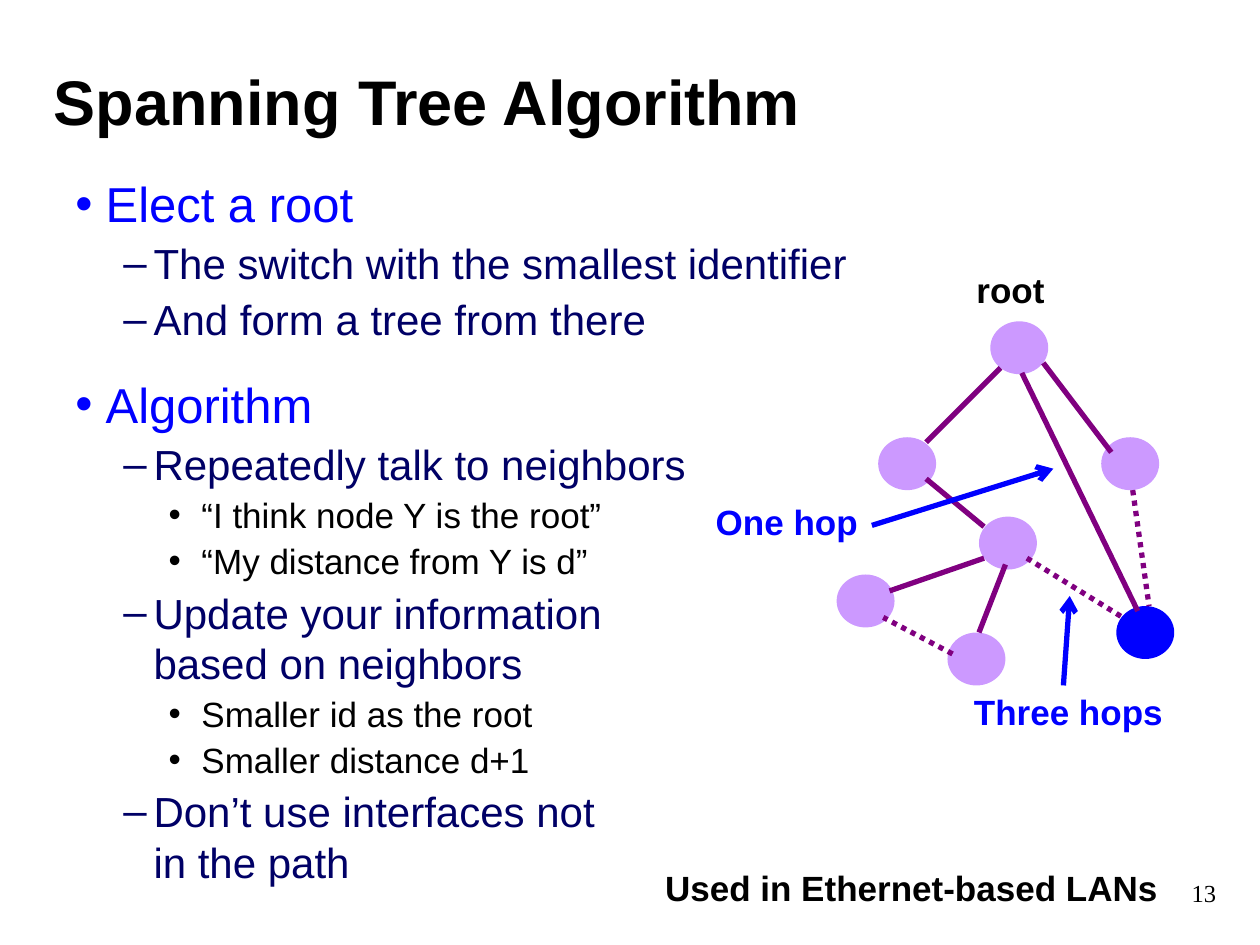
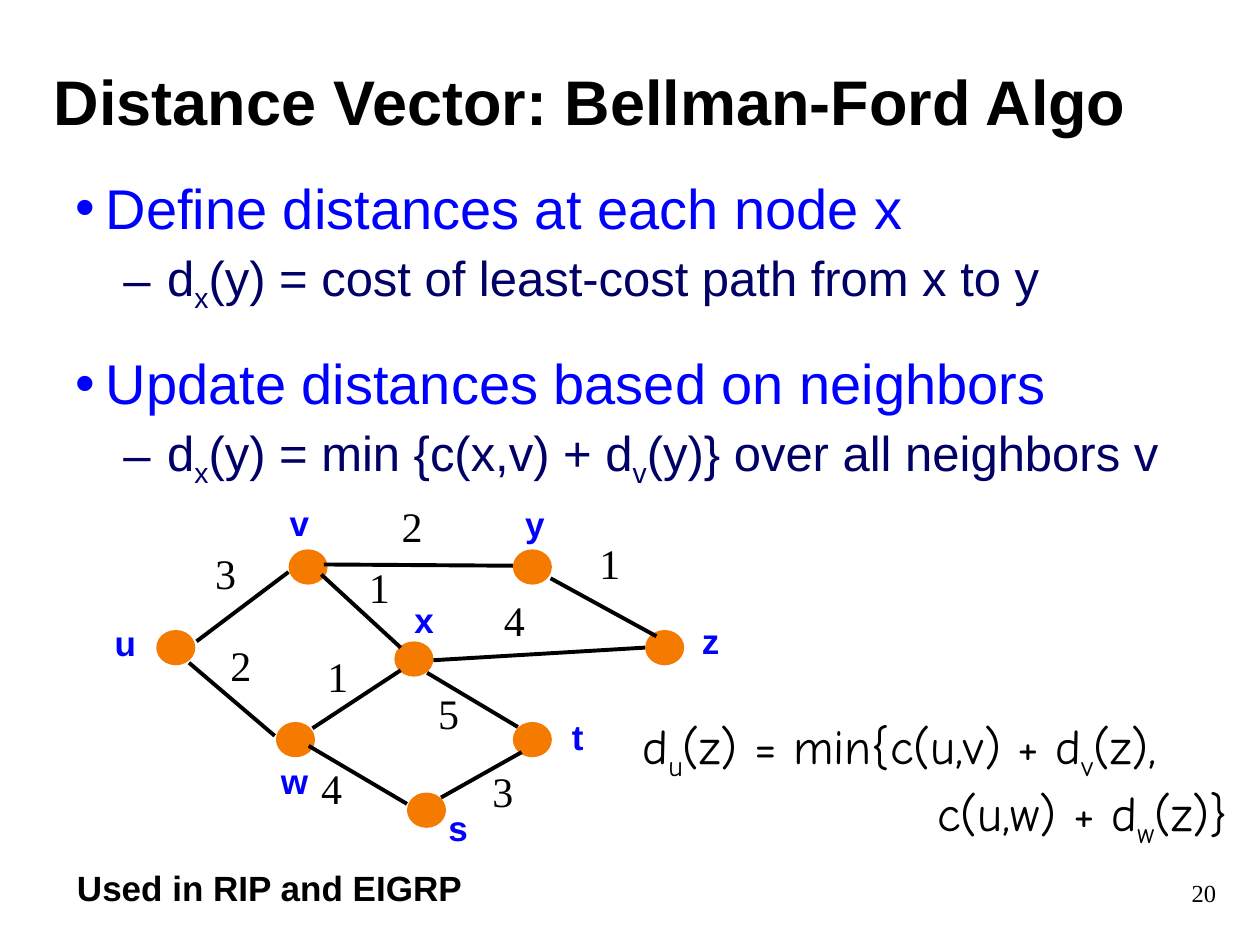
from dataclasses import dataclass

from lxml import etree
from pptx import Presentation
from pptx.dml.color import RGBColor
from pptx.enum.dml import MSO_LINE
from pptx.enum.shapes import MSO_CONNECTOR, MSO_SHAPE
from pptx.enum.text import MSO_ANCHOR, PP_ALIGN
from pptx.oxml.ns import qn
from pptx.slide import Slide
from pptx.util import Emu, Pt

# Shared look
PX = 9144  # 100 px to the inch
BLACK = RGBColor(0, 0, 0)
BLUE = RGBColor(0, 0, 255)
NAVY = RGBColor(0, 0, 102)
PURPLE = RGBColor(128, 0, 128)
LILAC = RGBColor(204, 153, 255)
ORANGE = RGBColor(244, 122, 0)
SANS, SERIF, COMIC = "Arial", "Times New Roman", "Comic Neue"
LEFT, CENTER, RIGHT = PP_ALIGN.LEFT, PP_ALIGN.CENTER, PP_ALIGN.RIGHT
TOP, MIDDLE = MSO_ANCHOR.TOP, MSO_ANCHOR.MIDDLE
ELLIPSE, STRAIGHT = MSO_SHAPE.OVAL, MSO_CONNECTOR.STRAIGHT
DOTTED = MSO_LINE.ROUND_DOT
SUBSCRIPT = "~"  # encloses lowered letters


@dataclass(frozen=True)
class Level:
    margin: int
    hanging: int
    bullet: str
    color: RGBColor
    space: float  # space before, as a share of the text size


@dataclass(frozen=True)
class Node:
    x: int
    y: int
    color: RGBColor


@dataclass(frozen=True)
class Edge:
    x1: int
    y1: int
    x2: int
    y2: int
    dotted: bool = False


@dataclass(frozen=True)
class Label:
    text: str
    x: int
    y: int
    width: int
    color: RGBColor = BLUE


LEVELS = (
    Level(24, 24, "•", BLUE, 0.625),
    Level(62, 24, "–", NAVY, 0.125),
    Level(100, 26, "•", BLACK, 0.125),
)


def px(length: int) -> Emu:
    return Emu(length * PX)


def fill_para(para, text: str, *, size: int, color: RGBColor,
              font: str = SANS, bold: bool = False) -> None:
    """Write text with line breaks and subscripts into a paragraph."""
    for row, line in enumerate(text.split("\n")):
        if row:
            para.add_line_break()
        for index, piece in enumerate(line.split(SUBSCRIPT)):
            span = para.add_run()
            span.text = piece
            span.font.size = Pt(size)
            span.font.name = font
            span.font.bold = bold
            span.font.color.rgb = color
            if index % 2:
                span.font._element.set("baseline", "-25000")


def add_frame(page: Slide, x: int, y: int, width: int, height: int, *,
              wrap: bool = True, anchor=TOP):
    box = page.shapes.add_textbox(px(x), px(y), px(width), px(height))
    frame = box.text_frame
    frame.word_wrap = wrap
    frame.vertical_anchor = anchor
    return frame


def add_text(page: Slide, text: str, x: int, y: int, width: int, height: int, *,
             size: int, color: RGBColor = BLACK, font: str = SANS,
             bold: bool = False, align=LEFT, wrap: bool = False, anchor=TOP) -> None:
    frame = add_frame(page, x, y, width, height, wrap=wrap, anchor=anchor)
    para = frame.paragraphs[0]
    para.alignment = align
    fill_para(para, text, size=size, color=color, font=font, bold=bold)


def add_label(page: Slide, label: Label) -> None:
    add_text(page, label.text, label.x, label.y, label.width, 44,
             size=20, color=label.color, bold=True, align=CENTER)


def add_outline(page: Slide, items: list[tuple[int, str]],
                sizes: tuple[int, ...]) -> None:
    """Write bulleted text; each item is its level and wording."""
    frame = add_frame(page, 50, 133, 925, 600)
    for index, (depth, text) in enumerate(items):
        level, size = LEVELS[depth], sizes[depth]
        para = frame.add_paragraph() if index else frame.paragraphs[0]
        para.level = depth
        para.space_before = Pt(size * level.space)
        props = para._p.get_or_add_pPr()
        props.set("marL", str(px(level.margin)))
        props.set("indent", str(-px(level.hanging)))
        tint = etree.SubElement(props, qn("a:buClr"))
        etree.SubElement(tint, qn("a:srgbClr"), val=str(level.color))
        etree.SubElement(props, qn("a:buFont"), typeface=SANS)
        etree.SubElement(props, qn("a:buChar"), char=level.bullet)
        fill_para(para, text, size=size, color=level.color)


def add_node(page: Slide, node: Node, width: int, height: int) -> None:
    oval = page.shapes.add_shape(ELLIPSE, px(node.x), px(node.y), px(width), px(height))
    oval.shadow.inherit = False
    oval.fill.solid()
    oval.fill.fore_color.rgb = node.color
    oval.line.fill.background()


def add_edge(page: Slide, edge: Edge, color: RGBColor, weight: float,
             arrow: bool = False) -> None:
    line = page.shapes.add_connector(
        STRAIGHT, px(edge.x1), px(edge.y1), px(edge.x2), px(edge.y2))
    line.line.color.rgb = color
    line.line.width = Pt(weight)
    if edge.dotted:
        line.line.dash_style = DOTTED
    props = line._element.spPr
    if arrow:
        etree.SubElement(props.find(qn("a:ln")), qn("a:tailEnd"), type="arrow")
    etree.SubElement(props, qn("a:effectLst"))


def add_page(deck, title: str, number: int) -> Slide:
    page = deck.slides.add_slide(deck.slide_layouts[6])
    add_text(page, title, 33, 42, 882, 75, size=36, bold=True, wrap=True, anchor=MIDDLE)
    add_text(page, str(number), 875, 692, 100, 42, size=14, font=SERIF,
             align=RIGHT, wrap=True)
    return page


def build_spanning_tree(deck) -> None:
    page = add_page(deck, "Spanning Tree Algorithm", 13)
    add_outline(page, [
        (0, "Elect a root"),
        (1, "The switch with the smallest identifier"),
        (1, "And form a tree from there"),
        (0, "Algorithm"),
        (1, "Repeatedly talk to neighbors"),
        (2, "“I think node Y is the root”"),
        (2, "“My distance from Y is d”"),
        (1, "Update your information \nbased on neighbors"),
        (2, "Smaller id as the root"),
        (2, "Smaller distance d+1"),
        (1, "Don’t use interfaces not\nin the path"),
    ], (28, 24, 20))

    # Switches and links
    switches = [(786, 255), (697, 347), (874, 347), (777, 410), (664, 456), (752, 502)]
    for x, y in switches:
        add_node(page, Node(x, y, LILAC), 46, 42)
    add_node(page, Node(886, 481, BLUE), 46, 42)
    for link in (
        Edge(794, 292, 735, 351),
        Edge(828, 288, 882, 359),
        Edge(735, 380, 781, 418),
        Edge(815, 443, 891, 490, dotted=True),
        Edge(899, 389, 912, 481, dotted=True),
        Edge(811, 296, 903, 485),
        Edge(706, 469, 781, 443),
        Edge(777, 502, 798, 448),
        Edge(756, 519, 701, 490, dotted=True),
    ):
        add_edge(page, link, PURPLE, 3)

    # Callouts
    for pointer in (Edge(692, 417, 836, 372), Edge(844, 544, 849, 473)):
        add_edge(page, pointer, BLUE, 3, arrow=True)
    for label in (
        Label("root", 765, 208, 74, BLACK),
        Label("One hop", 558, 392, 133),
        Label("Three hops", 763, 543, 170),
        Label("Used in Ethernet-based LANs", 518, 683, 411, BLACK),
    ):
        add_label(page, label)


def build_distance_vector(deck) -> None:
    page = add_page(deck, "Distance Vector: Bellman-Ford Algo", 20)
    add_outline(page, [
        (0, "Define distances at each node x"),
        (1, " d~x~(y) = cost of least-cost path from x to y"),
        (0, "Update distances based on neighbors"),
        (1, " d~x~(y) = min {c(x,v) + d~v~(y)} over all neighbors v"),
    ], (32, 28))

    # Routers and links
    routers = [(124, 500), (219, 573), (229, 436), (313, 509),
               (407, 573), (407, 436), (323, 629), (512, 500)]
    for x, y in routers:
        add_node(page, Node(x, y, ORANGE), 31, 28)
    for link in (
        Edge(156, 509, 229, 454),
        Edge(150, 526, 218, 584),
        Edge(255, 456, 318, 514),
        Edge(245, 592, 323, 638),
        Edge(248, 578, 318, 532),
        Edge(339, 534, 411, 577),
        Edge(350, 633, 414, 597),
        Edge(344, 524, 512, 514),
        Edge(257, 448, 407, 449),
        Edge(437, 459, 521, 505),
    ):
        add_edge(page, link, BLACK, 2.25)

    # Link costs
    costs = [(3, 161, 430), (2, 309, 392), (2, 173, 503), (1, 283, 441), (1, 250, 511),
             (4, 390, 467), (1, 466, 422), (4, 245, 600), (5, 338, 541), (3, 381, 603)]
    for cost, x, y in costs:
        add_text(page, str(cost), x, y, 36, 50, size=24, font=SERIF)

    # Router names and usage
    for label in (
        Label("u", 81, 488, 37),
        Label("v", 220, 393, 35),
        Label("w", 213, 598, 41),
        Label("x", 319, 470, 35),
        Label("y", 407, 394, 35),
        Label("z", 547, 487, 34),
        Label("s", 346, 635, 35),
        Label("t", 444, 563, 29),
        Label("Used in RIP and EIGRP", 51, 683, 326, BLACK),
    ):
        add_label(page, label)

    # Worked formula, second line indented
    frame = add_frame(page, 500, 563, 490, 116)
    first, second = frame.paragraphs[0], frame.add_paragraph()
    second._p.get_or_add_pPr().set("marL", str(px(234)))
    fill_para(first, "d~u~(z) = min{c(u,v) + d~v~(z),", size=28, color=BLACK, font=COMIC)
    fill_para(second, "c(u,w) + d~w~(z)}", size=28, color=BLACK, font=COMIC)


def main() -> None:
    deck = Presentation()
    deck.slide_width, deck.slide_height = px(1000), px(750)
    build_spanning_tree(deck)
    build_distance_vector(deck)
    deck.save("out.pptx")


if __name__ == "__main__":
    main()
